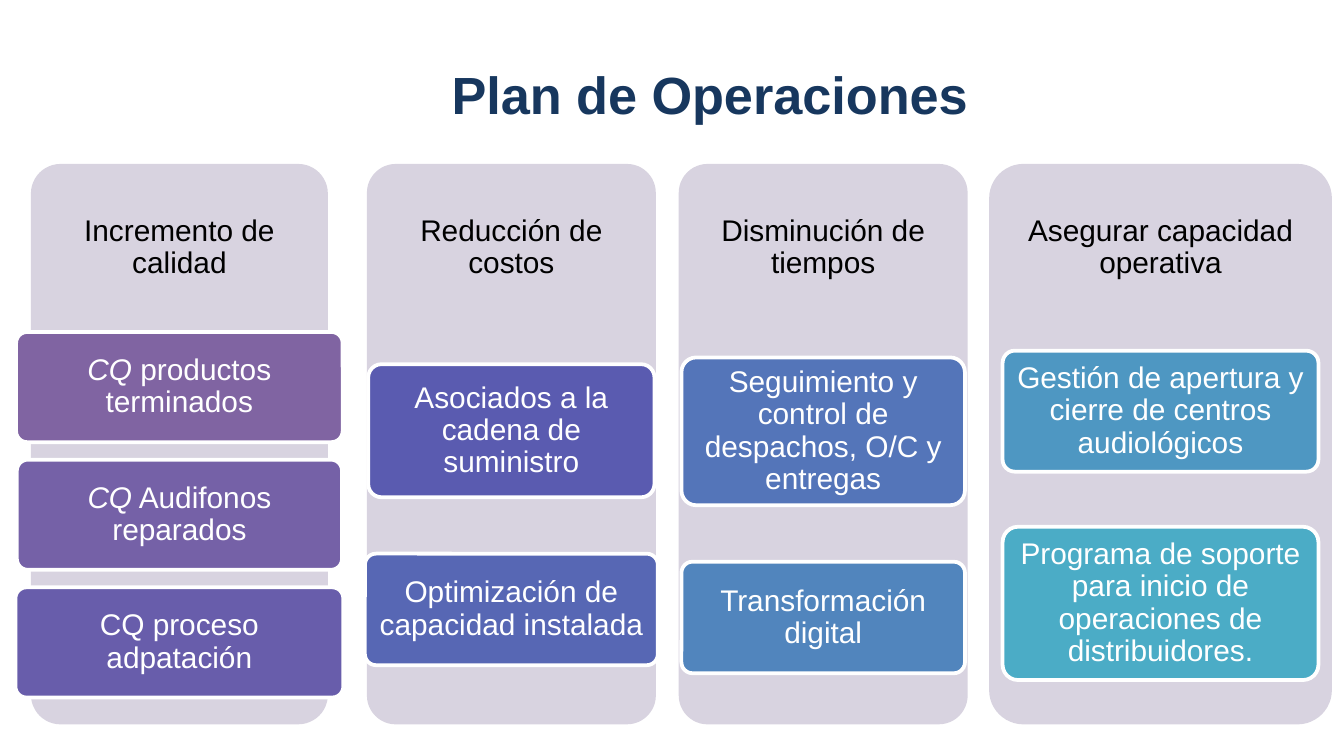
"""Build the operations plan slide: four goal panels with their action cards."""
from pptx import Presentation
from pptx import util as u
from pptx.dml.color import RGBColor
from pptx.enum import shapes, text

COLOURS = {
    "title": "17375E", "panel": "D8D3E0", "black": "000000", "white": "FFFFFF",
    "purple": "8064A2", "violet": "7561A7", "iris": "685DAB", "indigo": "5A5BB0",
    "cobalt": "5767B4", "blue": "5475B9", "azure": "5185BD", "sky": "4E97C2",
    "aqua": "4BACC6",
}
SLIDE_WIDTH = 10
SLIDE_HEIGHT = SLIDE_WIDTH * 9 / 16
TITLE = "Plan de Operaciones"
TITLE_AREA = (2.17, 0.23, 6.22, 0.94)
PANEL_TOP, PANEL_HEIGHT, HEADING_SHARE = 1.22, 4.17, 0.3
CORNER = 0.1

CARD_FIELDS = ("lead", "content", "fill", "width", "top", "height")
PANELS = [
    {"heading": "Incremento de calidad", "left": 0.23, "width": 2.21, "cards": [
        ("CQ", " productos terminados", "purple", 2.43, 2.47, 0.82),
        ("CQ", " Audifonos reparados", "violet", 2.42, 3.42, 0.82),
        ("", "CQ proceso adpatación", "iris", 2.44, 4.37, 0.82)]},
    {"heading": "Reducción de costos", "left": 2.73, "width": 2.15, "cards": [
        ("", "Asociados a la cadena de suministro", "indigo", 2.13, 2.71, 0.99),
        ("", "Optimización de capacidad instalada", "cobalt", 2.18, 4.12, 0.83)]},
    {"heading": "Disminución de tiempos", "left": 5.05, "width": 2.15, "cards": [
        ("", "Seguimiento y control de despachos, O/C y entregas", "blue", 2.11, 2.66, 1.1),
        ("", "Transformación digital", "azure", 2.11, 4.18, 0.83)]},
    {"heading": "Asegurar capacidad operativa", "left": 7.36, "width": 2.55, "cards": [
        ("", "Gestión de apertura y cierre de centros audiológicos", "sky", 2.35, 2.61, 0.9),
        ("", "Programa de soporte para inicio de operaciones de distribuidores.",
         "aqua", 2.35, 3.92, 1.14)]},
]


def colour(name):
    return RGBColor.from_string(COLOURS[name])


def inches(area):
    return [u.Inches(length) for length in area]


def add_round_box(page, area, fill, line=None):
    box = page.shapes.add_shape(shapes.MSO_SHAPE.ROUNDED_RECTANGLE, *inches(area))
    box.adjustments[0] = CORNER
    box.shadow.inherit = False
    box.fill.solid()
    box.fill.fore_color.rgb = colour(fill)
    if line:
        box.line.color.rgb = colour(line)
        box.line.width = u.Pt(2)
    else:
        box.line.fill.background()
    return box


def write(box, content, ink, size=16, bold=False, lead="", insets=(0.1, 0.05), spacing=0.9):
    frame = box.text_frame
    frame.word_wrap = True
    frame.vertical_anchor = text.MSO_ANCHOR.MIDDLE
    frame.margin_left = frame.margin_right = u.Inches(insets[0])
    frame.margin_top = frame.margin_bottom = u.Inches(insets[1])
    para = frame.paragraphs[0]
    para.alignment = text.PP_ALIGN.CENTER
    para.line_spacing = spacing
    para.font.name = "Arial"
    para.font.size = u.Pt(size)
    para.font.bold = bold
    para.font.color.rgb = colour(ink)
    if lead:
        span = para.add_run()
        span.text = lead
        span.font.italic = True
    para.add_run().text = content


def add_panel(page, panel):
    left, width = panel["left"], panel["width"]
    add_round_box(page, (left, PANEL_TOP, width, PANEL_HEIGHT), "panel")
    heading = page.shapes.add_textbox(
        *inches((left, PANEL_TOP, width, PANEL_HEIGHT * HEADING_SHARE)))
    write(heading, panel["heading"], "black", insets=(0.07, 0.07))
    for values in panel["cards"]:
        card = dict(zip(CARD_FIELDS, values))
        card_left = left + (width - card["width"]) / 2
        area = (card_left, card["top"], card["width"], card["height"])
        box = add_round_box(page, area, card["fill"], "white")
        write(box, card["content"], "white", lead=card["lead"], insets=(0.04, 0.03))


def main():
    deck = Presentation()
    deck.slide_width, deck.slide_height = inches((SLIDE_WIDTH, SLIDE_HEIGHT))
    page = deck.slides.add_slide(deck.slide_layouts[6])
    title = page.shapes.add_textbox(*inches(TITLE_AREA))
    write(title, TITLE, "title", size=28, bold=True, spacing=1.0)
    for panel in PANELS:
        add_panel(page, panel)
    deck.save("out.pptx")


if __name__ == "__main__":
    main()
